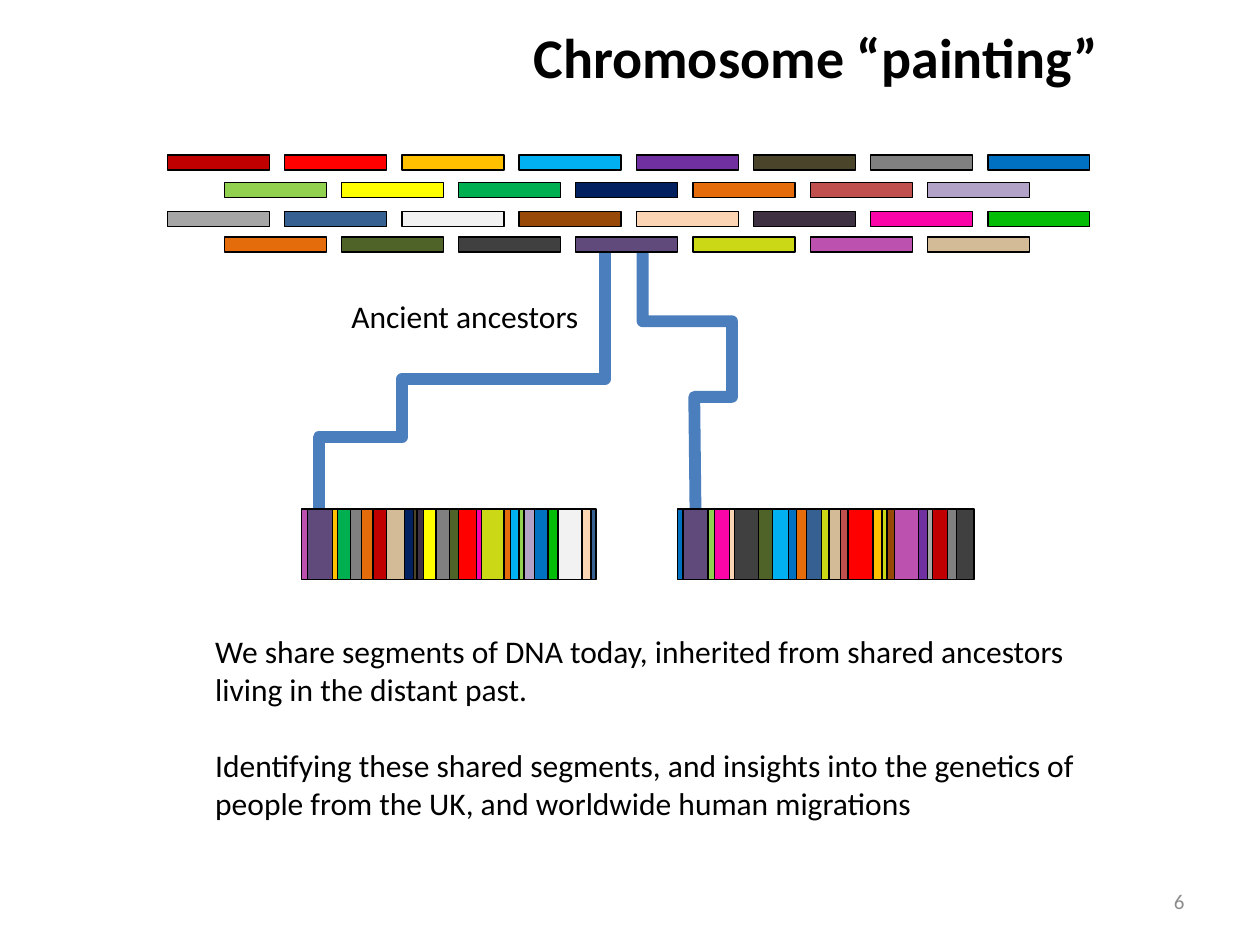
import itertools
from dataclasses import dataclass, field
from typing import NamedTuple

import pptx
import pptx.dml.color
import pptx.enum.shapes
import pptx.enum.text
import pptx.oxml
import pptx.oxml.ns
import pptx.util

Inches, Pt = pptx.util.Inches, pptx.util.Pt
RGBColor = pptx.dml.color.RGBColor
ANCHOR, ALIGN = pptx.enum.text.MSO_ANCHOR, pptx.enum.text.PP_ALIGN
RECTANGLE = pptx.enum.shapes.MSO_SHAPE.RECTANGLE


@dataclass(frozen=True)
class Theme:
    font: str = "Calibri"
    title_size: int = 32
    body_size: int = 18
    number_size: int = 12
    ink: str = "000000"
    muted: str = "8C8C8C"
    descent: str = "4B7EBC"
    outline_width: float = 0.75
    descent_width: float = 6.75
    dna: dict[str, str] = field(default_factory=lambda: {
        "crimson": "C00000", "red": "FF0000", "gold": "FFC000", "sky": "00B0F0",
        "purple": "7030A0", "bark": "4A452A", "gray": "808080", "blue": "0070C0",
        "lime": "92D050", "yellow": "FFFF00", "green": "00B050", "navy": "002060",
        "orange": "E46C0A", "brick": "C0504D", "lilac": "B3A2C7",
        "silver": "A6A6A6", "steel": "376092", "white": "F2F2F2", "brown": "984807",
        "peach": "FCD5B5", "plum": "3E3242", "pink": "F905A8", "grass": "03BD07",
        "olive": "4F6228", "charcoal": "404040", "violet": "604A7B",
        "citron": "CAD816", "orchid": "BD51B0", "sand": "D3BB97",
    })


class Box(NamedTuple):
    left: float
    top: float
    width: float
    height: float


class AncestorRow(NamedTuple):
    left: float
    top: float
    colours: str


class Segment(NamedTuple):
    left: float
    colour: str


class Chromosome(NamedTuple):
    segments: list[Segment]
    right: float


class TextBlock(NamedTuple):
    box: Box
    paragraphs: list[str]
    frame: dict
    paragraph: dict
    font: dict
    colour: str
    gap: float = 0


THEME = Theme()
ANCESTOR_SIZE = (0.81, 0.12)
ANCESTOR_PITCH = 0.93
CHROMOSOME_TOP, CHROMOSOME_HEIGHT = 4.04, 0.56

ANCESTOR_ROWS = [
    AncestorRow(1.33, 1.23, "crimson red gold sky purple bark gray blue"),
    AncestorRow(1.78, 1.45, "lime yellow green navy orange brick lilac"),
    AncestorRow(1.33, 1.68, "silver steel white brown peach plum pink grass"),
    AncestorRow(1.78, 1.88, "orange olive charcoal violet citron orchid sand"),
]

DESCENT_LINES = [
    [(2.53, 4.04), (2.53, 3.47), (3.19, 3.47), (3.19, 3.01), (4.8, 3.01), (4.8, 2)],
    [(5.52, 4.04), (5.51, 3.15), (5.81, 3.15), (5.81, 2.55), (5.1, 2.55), (5.1, 2)],
]

CHROMOSOMES = [
    Chromosome([Segment(*pair) for pair in [
        (2.39, "orchid"), (2.44, "violet"), (2.64, "gold"), (2.68, "green"),
        (2.78, "gray"), (2.87, "orange"), (2.96, "crimson"), (3.07, "sand"),
        (3.21, "navy"), (3.28, "bark"), (3.31, "plum"), (3.36, "yellow"),
        (3.46, "gray"), (3.57, "olive"), (3.64, "red"), (3.78, "pink"),
        (3.82, "citron"), (4.0, "orange"), (4.05, "sky"), (4.12, "lime"),
        (4.16, "lilac"), (4.24, "blue"), (4.35, "grass"), (4.43, "white"),
        (4.62, "peach"), (4.69, "steel")]], 4.73),
    Chromosome([Segment(*pair) for pair in [
        (5.38, "blue"), (5.42, "violet"), (5.62, "lime"), (5.67, "pink"),
        (5.79, "peach"), (5.83, "charcoal"), (6.02, "olive"), (6.13, "sky"),
        (6.26, "blue"), (6.32, "orange"), (6.4, "steel"), (6.52, "citron"),
        (6.58, "sand"), (6.67, "brick"), (6.73, "red"), (6.93, "gold"),
        (7.0, "citron"), (7.04, "brown"), (7.1, "orchid"), (7.29, "purple"),
        (7.36, "silver"), (7.4, "crimson"), (7.52, "gray"), (7.59, "charcoal")]], 7.73),
]

TEXT_BLOCKS = [
    TextBlock(Box(0.86, -0.18, 8.16, 1.25), ["Chromosome “painting”"],
              {"word_wrap": True, "vertical_anchor": ANCHOR.MIDDLE,
               "margin_right": Inches(0.3)},
              {"alignment": ALIGN.RIGHT},
              {"size": Pt(THEME.title_size), "bold": True}, THEME.ink),
    TextBlock(Box(7.17, 6.95, 2.33, 0.4), ["6"],
              {"word_wrap": True, "vertical_anchor": ANCHOR.MIDDLE},
              {"alignment": ALIGN.RIGHT},
              {"size": Pt(THEME.number_size)}, THEME.muted),
    TextBlock(Box(2.69, 2.31, 2.02, 0.4), ["Ancient ancestors"],
              {"word_wrap": False}, {},
              {"size": Pt(THEME.body_size)}, THEME.ink),
    TextBlock(Box(1.61, 4.97, 7.05, 1.62),
              ["We share segments of DNA today, inherited from shared ancestors "
               "living in the distant past.",
               "Identifying these shared segments, and insights into the genetics of "
               "people from the UK, and worldwide human migrations"],
              {"word_wrap": True}, {},
              {"size": Pt(THEME.body_size)}, THEME.ink, gap=21.6),
]


def apply_format(target, values: dict) -> None:
    for attribute, value in values.items():
        setattr(target, attribute, value)


def draw_dna(shapes, box: Box, colour: str) -> None:
    dna = shapes.add_shape(RECTANGLE, *map(Inches, box))
    dna.shadow.inherit = False
    dna.fill.solid()
    dna.fill.fore_color.rgb = RGBColor.from_string(THEME.dna[colour])
    dna.line.color.rgb = RGBColor.from_string(THEME.ink)
    dna.line.width = Pt(THEME.outline_width)


def draw_descent(shapes, points: list[tuple[float, float]]) -> None:
    start, *bends = [(Inches(x), Inches(y)) for x, y in points]
    builder = shapes.build_freeform(*start)
    builder.add_line_segments(bends, close=False)
    descent = builder.convert_to_shape()
    descent.shadow.inherit = False
    descent.fill.background()
    descent.line.color.rgb = RGBColor.from_string(THEME.descent)
    descent.line.width = Pt(THEME.descent_width)
    # Rounded corners where the line bends
    outline = descent.line._get_or_add_ln()
    outline.append(pptx.oxml.parse_xml(f"<a:round {pptx.oxml.ns.nsdecls('a')}/>"))


def draw_ancestors(shapes, row: AncestorRow) -> None:
    for column, colour in enumerate(row.colours.split()):
        left = row.left + column * ANCESTOR_PITCH
        draw_dna(shapes, Box(left, row.top, *ANCESTOR_SIZE), colour)


def draw_chromosome(shapes, chromosome: Chromosome) -> None:
    strip = shapes.add_group_shape()
    edges = [segment.left for segment in chromosome.segments] + [chromosome.right]
    for segment, (left, right) in zip(chromosome.segments, itertools.pairwise(edges)):
        draw_dna(strip.shapes, Box(left, CHROMOSOME_TOP, right - left, CHROMOSOME_HEIGHT),
                 segment.colour)


def draw_text(shapes, block: TextBlock) -> None:
    frame = shapes.add_textbox(*map(Inches, block.box)).text_frame
    apply_format(frame, block.frame)
    for index, wording in enumerate(block.paragraphs):
        paragraph = frame.add_paragraph() if index else frame.paragraphs[0]
        paragraph.text = wording
        apply_format(paragraph, block.paragraph)
        if index:
            paragraph.space_before = Pt(block.gap)
        font = paragraph.runs[0].font
        apply_format(font, {"name": THEME.font, **block.font})
        font.color.rgb = RGBColor.from_string(block.colour)


def main() -> None:
    deck = pptx.Presentation()
    deck.slide_width, deck.slide_height = Inches(10), Inches(7.5)
    shapes = deck.slides.add_slide(deck.slide_layouts[6]).shapes

    # Lines of descent lie behind the DNA
    for points in DESCENT_LINES:
        draw_descent(shapes, points)
    # Ancestors and the present-day chromosomes
    for row in ANCESTOR_ROWS:
        draw_ancestors(shapes, row)
    for chromosome in CHROMOSOMES:
        draw_chromosome(shapes, chromosome)
    # Title, label, explanation and slide number
    for block in TEXT_BLOCKS:
        draw_text(shapes, block)

    deck.save("out.pptx")


if __name__ == "__main__":
    main()
